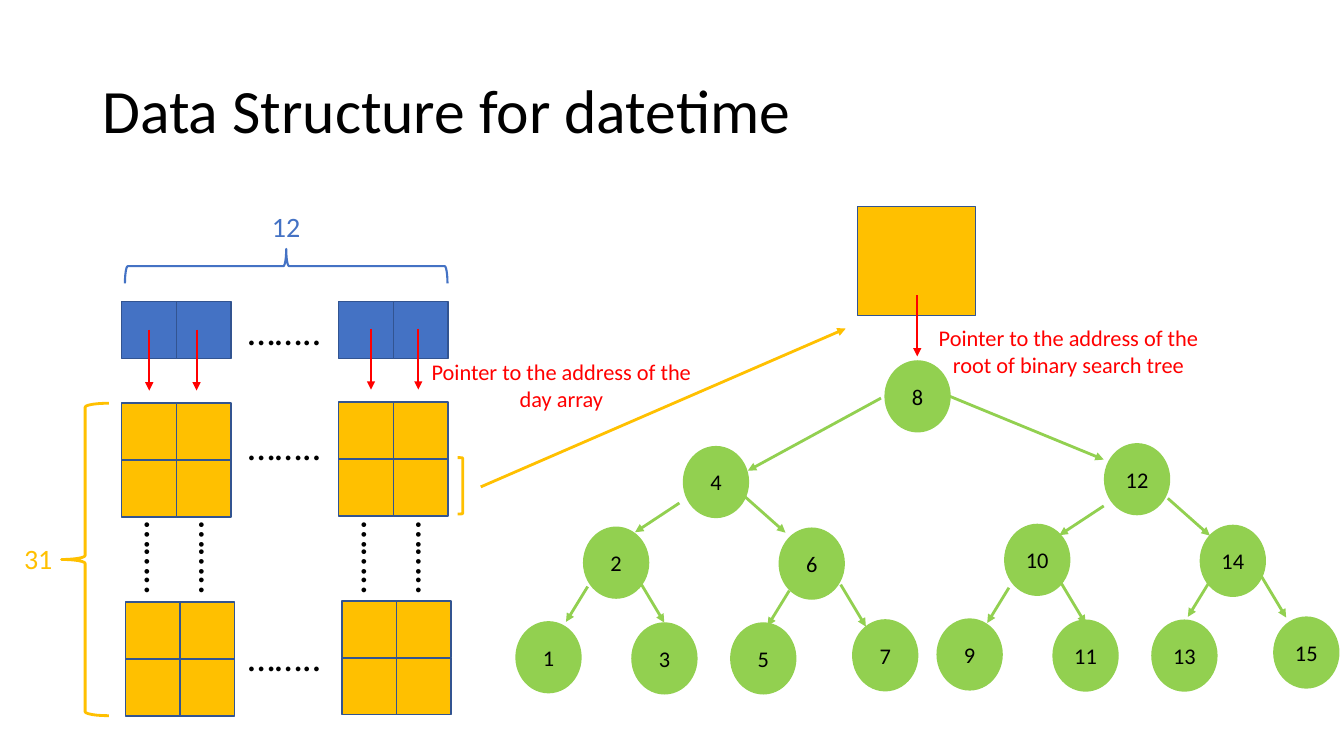
"""Build the slide on a month, day and search tree structure for datetimes."""
from lxml import etree
from pptx import Presentation
from pptx.dml.color import RGBColor
from pptx.enum import shapes, text
from pptx.oxml import ns
from pptx.util import Pt

COLORS = {"black": "000000", "blue": "4472C4", "edge": "325491",
          "gold": "FFC000", "red": "FF0000", "green": "92D050"}
KIND = shapes.MSO_SHAPE
DOTS = "…….."

CELL_W, CELL_H = 39, 40.7
BLOCKS = [("blue", 1, 87, 215.3), ("blue", 1, 242, 215.3),
          ("gold", 2, 87, 288), ("gold", 2, 242, 287.3),
          ("gold", 2, 89.5, 430), ("gold", 2, 244.3, 429.2)]
ROW_DOTS = [215.3, 297.4, 447.8]
COLUMN_DOTS = [76.3, 115.3, 231.3, 270.3]

LABELS = [
    ("Data Structure for datetime", (66, 28.8, 828, 104.4),
     dict(size=44, align="LEFT", anchor="MIDDLE", spacing=0.9)),
    ("12", (166.3, 146.2, 76.3, 31.5), dict(size=20, color="blue")),
    ("31", (-10.8, 383, 76.3, 31.5), dict(size=20, color="gold")),
    ("Pointer to the address of the day array",
     (288, 252, 226, 46), dict(color="red")),
    ("Pointer to the address of the root of binary search tree",
     (650.2, 228.2, 226, 46), dict(color="red")),
]
BRACKETS = [(KIND.RIGHT_BRACE, (43.9, 288, 33.8, 223.2), "gold", 2, 180),
            (KIND.RIGHT_BRACE, (192.2, 74.9, 24.5, 230.4), "blue", 1.5, 270),
            (KIND.RIGHT_BRACKET, (326.9, 326.9, 3.6, 40.3), "gold", 2, 0)]
DAY_CELL = (612.7, 147.6, 84.2, 77.8)

POINTERS = [(106.6, 235.4), (140.4, 235.4), (265, 234.7), (298.8, 234.7), (655.2, 211)]
POINTER_LENGTH = 43.6
ZOOM = ((343.4, 347.8), (604.1, 234.7))

NODE_W, NODE_H = 46.4, 50.6
ROOT = (632.2, 257.8)
LEFT_SUBTREE = {4: (488.2, 319), 2: (416.9, 376.6), 6: (556.6, 377.3),
                1: (368.6, 444.2), 3: (451.4, 445), 5: (522, 445), 7: (609.1, 442.8)}
RIGHT_SHIFT = (300.8, -2)
ROOT_EDGES = [((629.3, 284.4), (534.2, 336.2)), ((678.2, 283), (788.4, 328.3))]
BRANCH_LEVELS = [
    dict(starts=[(485.3, 359.3), (788.4, 361.4)], gap=(45.8, -5.4),
         left=(-31.7, 20.9), right=(30, 26.6)),
    dict(starts=[(419.8, 419), (563.8, 421.9), (720.7, 419.8), (864, 415.4)],
         gap=(36.7, -4.3), left=(-15.5, 25.2), right=(18, 30)),
]


def rgb(name):
    return RGBColor.from_string(COLORS[name])


def shift(point, delta):
    return point[0] + delta[0], point[1] + delta[1]


def write(sp, content, size=16, color="black", align="CENTER", anchor="TOP", spacing=None):
    tf = sp.text_frame
    tf.word_wrap = True
    tf.vertical_anchor = getattr(text.MSO_ANCHOR, anchor)
    p = tf.paragraphs[0]
    p.alignment = getattr(text.PP_ALIGN, align)
    p.line_spacing = spacing
    r = p.add_run()
    r.text = content
    r.font.name, r.font.size = "Calibri", Pt(size)
    r.font.color.rgb = rgb(color)


def label(content, box, rotation=0, **style):
    sp = s.shapes.add_textbox(*map(Pt, box))
    sp.rotation = rotation
    write(sp, content, **style)


def shape(kind, box, line, width=1, fill=None, rotation=0):
    sp = s.shapes.add_shape(kind, *map(Pt, box))
    sp.shadow.inherit = False
    sp.rotation = rotation
    if fill:
        sp.fill.solid()
        sp.fill.fore_color.rgb = rgb(fill)
    else:
        sp.fill.background()
    sp.line.color.rgb = rgb(line)
    sp.line.width = Pt(width)
    return sp


def arrow(start, end, color, width=2):
    c = s.shapes.add_connector(shapes.MSO_CONNECTOR.STRAIGHT, *map(Pt, start + end))
    c.line.color.rgb = rgb(color)
    c.line.width = Pt(width)
    etree.SubElement(c.line._get_or_add_ln(), ns.qn("a:tailEnd"), type="triangle")
    etree.SubElement(c._element.spPr, ns.qn("a:effectLst"))


prs = Presentation()
prs.slide_width, prs.slide_height = Pt(960), Pt(540)
s = prs.slides.add_slide(prs.slide_layouts[6])

for color, rows, x, y in BLOCKS:
    for row in range(rows):
        for col in range(2):
            shape(KIND.RECTANGLE, (x + col * CELL_W, y + row * CELL_H, CELL_W, CELL_H),
                  "edge", fill=color)
for y in ROW_DOTS:
    label(DOTS, (165.2, y, 76.3, 41), size=28)
for x in COLUMN_DOTS:
    label(DOTS, (x, 378.7, 76.3, 41), rotation=90, size=28)

for kind, box, color, width, rotation in BRACKETS:
    shape(kind, box, color, width, rotation=rotation)
shape(KIND.RECTANGLE, DAY_CELL, "edge", fill="gold")
arrow(*ZOOM, "gold")

nodes = {8: ROOT, **LEFT_SUBTREE}
nodes.update({key + 8: shift(at, RIGHT_SHIFT) for key, at in LEFT_SUBTREE.items()})
for key, at in nodes.items():
    sp = shape(KIND.OVAL, at + (NODE_W, NODE_H), "green", fill="green")
    write(sp, str(key), anchor="MIDDLE")

for start, end in ROOT_EDGES:
    arrow(start, end, "green")
for level in BRANCH_LEVELS:
    for start in level["starts"]:
        other = shift(start, level["gap"])
        arrow(start, shift(start, level["left"]), "green")
        arrow(other, shift(other, level["right"]), "green")

for start in POINTERS:
    arrow(start, shift(start, (0, POINTER_LENGTH)), "red", 1.5)
for content, box, style in LABELS:
    label(content, box, **style)

prs.save("out.pptx")
